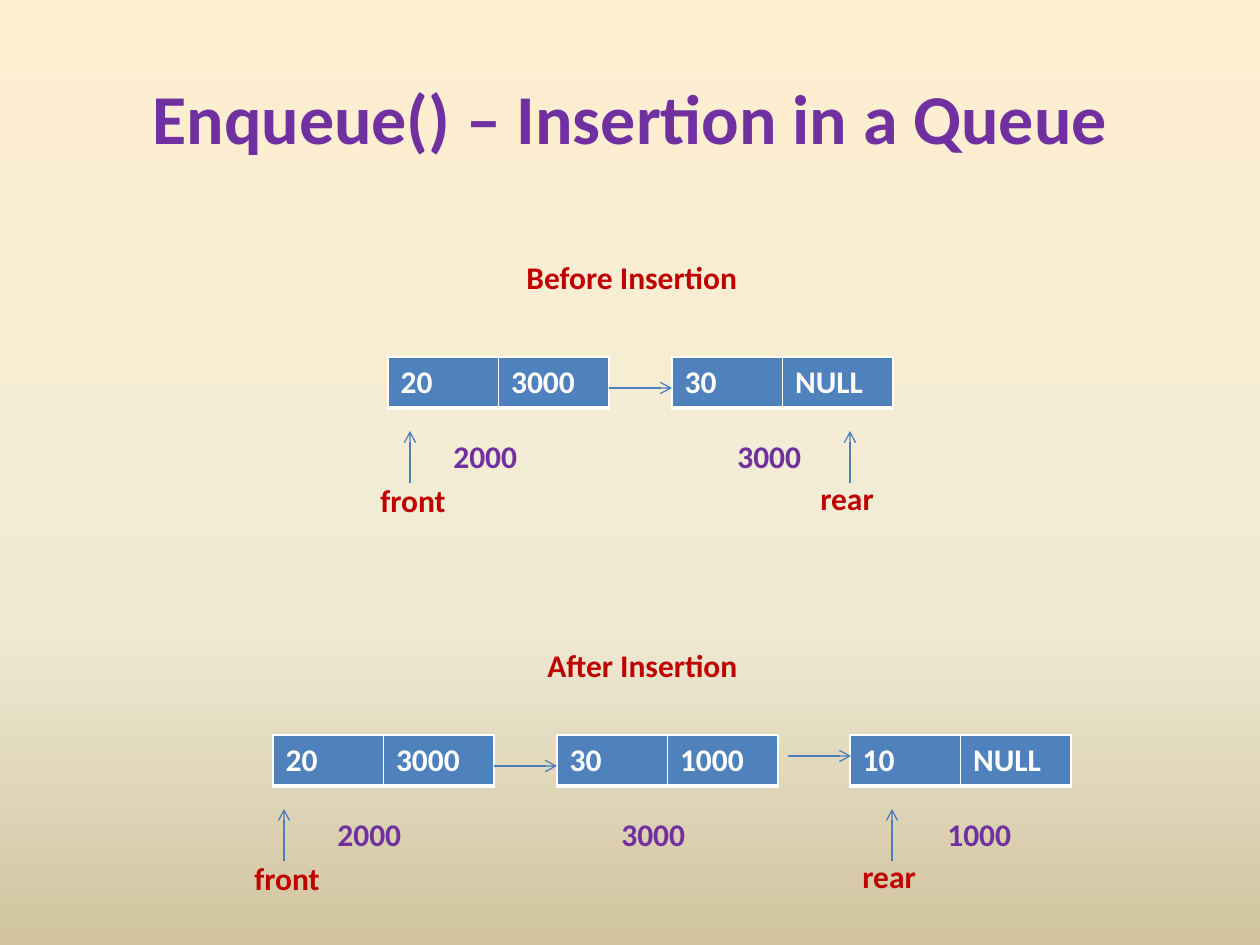
from pptx import Presentation
from pptx.dml.color import RGBColor
from pptx.enum.shapes import MSO_CONNECTOR
from pptx.enum.text import MSO_ANCHOR, MSO_AUTO_SIZE, PP_ALIGN
from pptx.oxml import parse_xml
from pptx.oxml.ns import nsdecls, qn
from pptx.util import Emu, Pt

PURPLE = RGBColor(0x70, 0x30, 0xA0)
RED = RGBColor(0xC0, 0x00, 0x00)
WHITE = RGBColor(0xFF, 0xFF, 0xFF)
BLUE = RGBColor(0x4F, 0x81, 0xBD)
LINE = RGBColor(0x4B, 0x7E, 0xBC)
SAND = [
    (0, RGBColor(0xFF, 0xEF, 0xD1)),
    (65, RGBColor(0xF0, 0xEB, 0xD5)),
    (100, RGBColor(0xD1, 0xC3, 0x9F)),
]
FONT = "Calibri"
TITLE = "Enqueue() – Insertion in a Queue"
STAGES = [
    {
        "head": ("Before Insertion", 514, 252),
        "top": 357,
        "nodes": [
            (388, "20", "3000", "2000", 53),
            (672, "30", "NULL", "3000", 53),
        ],
        "links": [(609, 31)],
        "ends": [("front", 410, 118), ("rear", 850, 116)],
    },
    {
        "head": ("After Insertion", 535, 640),
        "top": 735,
        "nodes": [
            (273, "20", "3000", "2000", 52),
            (557, "30", "1000", "3000", 52),
            (850, "10", "NULL", "1000", 85),
        ],
        "links": [(494, 31), (788, 21)],
        "ends": [("front", 284, 118), ("rear", 892, 116)],
    },
]
NODE_W, NODE_H = 221, 51
LINK_W = 63
TAG_W, TEXT_H = 116, 51
HEAD_W = 284
TAG_DY, STEM = 74, 52
END_DX = 42


def px(n):
    return Emu(round(n * 914400 / 126))


def style(para, size, color):
    font = para.font
    font.name, font.size, font.bold = FONT, Pt(size), True
    font.color.rgb = color


def label(text, x, y, w, color, h=TEXT_H, size=18):
    box = slide.shapes.add_textbox(px(x), px(y), px(w), px(h))
    frame = box.text_frame
    frame.word_wrap = True
    frame.text = text
    style(frame.paragraphs[0], size, color)
    return frame


def arrow(x1, y1, x2, y2):
    link = slide.shapes.add_connector(
        MSO_CONNECTOR.STRAIGHT, px(x1), px(y1), px(x2), px(y2))
    link.line.color.rgb = LINE
    link.line.width = Pt(0.75)
    link.line._get_or_add_ln().append(
        parse_xml(f'<a:tailEnd {nsdecls("a")} type="arrow"/>'))
    link._element.spPr.append(parse_xml(f'<a:effectLst {nsdecls("a")}/>'))


def border(cell):
    props = cell._tc.get_or_add_tcPr()
    for i, (side, width) in enumerate(zip("LRTB", (1, 1, 1, 3))):
        props.insert(i, parse_xml(
            f'<a:ln{side} {nsdecls("a")} w="{Pt(width)}"><a:solidFill>'
            f'<a:srgbClr val="{WHITE}"/></a:solidFill></a:ln{side}>'))


def node(x, y, texts):
    table = slide.shapes.add_table(
        1, 2, px(x), px(y), px(NODE_W), px(NODE_H)).table
    table.first_row = table.horz_banding = False
    for cell, text in zip(table.iter_cells(), texts):
        cell.text = text
        style(cell.text_frame.paragraphs[0], 18, WHITE)
        cell.fill.solid()
        cell.fill.fore_color.rgb = BLUE
        border(cell)


def backdrop():
    fill = slide.background.fill
    fill.gradient()
    fill.gradient_angle = 270
    stops = slide._element.find(".//" + qn("a:gsLst"))
    for stop in list(stops):
        stops.remove(stop)
    for pos, color in SAND:
        stops.append(parse_xml(
            f'<a:gs {nsdecls("a")} pos="{pos * 1000}">'
            f'<a:srgbClr val="{color}"/></a:gs>'))


def stage(data):
    top = data["top"]
    text, x, y = data["head"]
    grow = [label(text, x, y, HEAD_W, RED)]
    for x, value, link, place, shift in data["nodes"]:
        node(x, top, (value, link))
        grow.append(label(place, x + shift, top + TAG_DY, TAG_W, PURPLE))
    for x, drop in data["links"]:
        arrow(x, top + drop, x + LINK_W, top + drop)
    for text, x, drop in data["ends"]:
        arrow(x, top + TAG_DY + STEM, x, top + TAG_DY)
        grow.append(label(text, x - END_DX, top + drop, TAG_W, RED))
    for frame in grow:
        frame.auto_size = MSO_AUTO_SIZE.SHAPE_TO_FIT_TEXT


deck = Presentation()
deck.slide_width, deck.slide_height = px(1260), px(945)
slide = deck.slides.add_slide(deck.slide_layouts[6])
backdrop()
title = label(TITLE, 63, 38, 1134, PURPLE, 157, 40)
title.vertical_anchor = MSO_ANCHOR.MIDDLE
title.paragraphs[0].alignment = PP_ALIGN.CENTER
for data in STAGES:
    stage(data)
deck.save("out.pptx")
